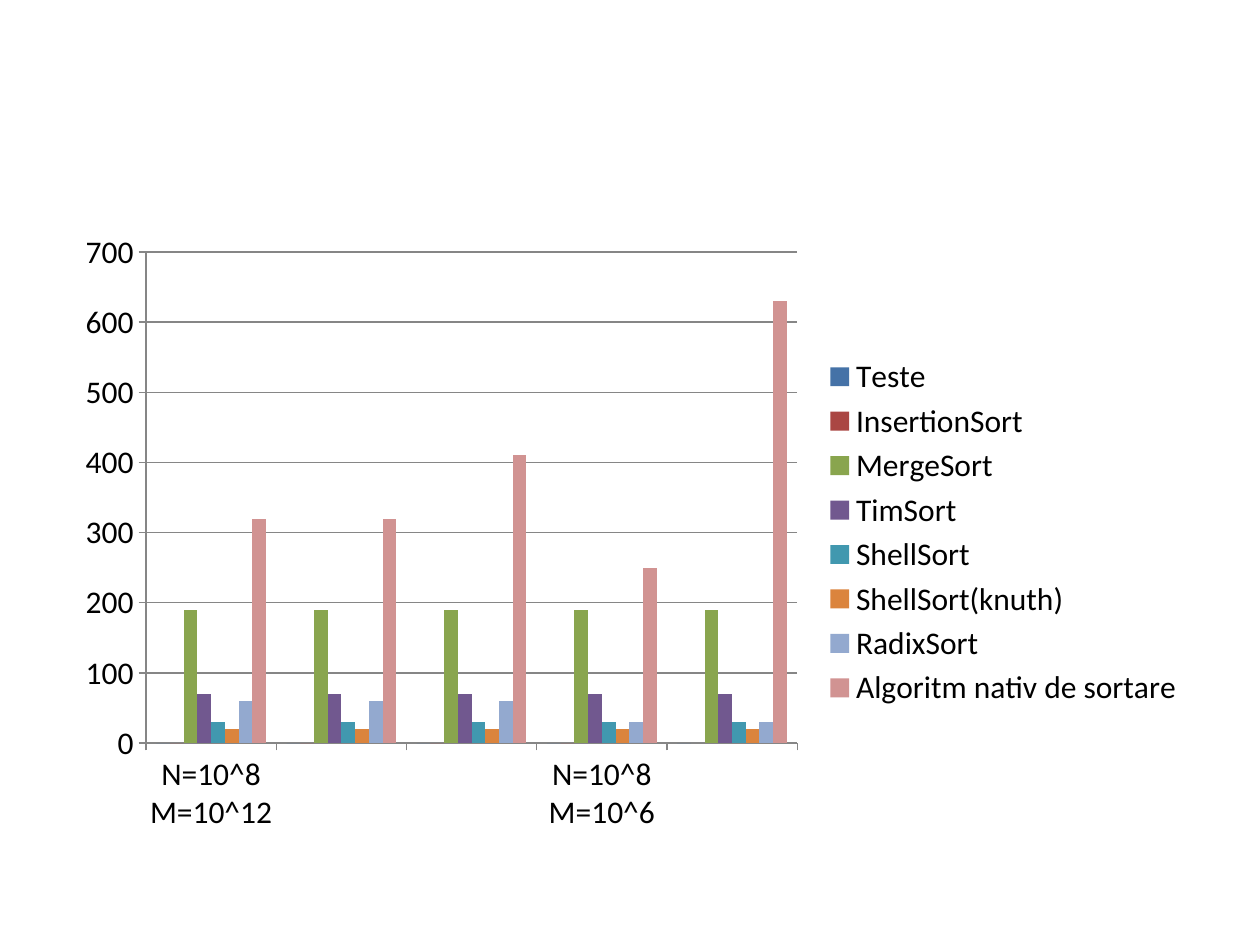
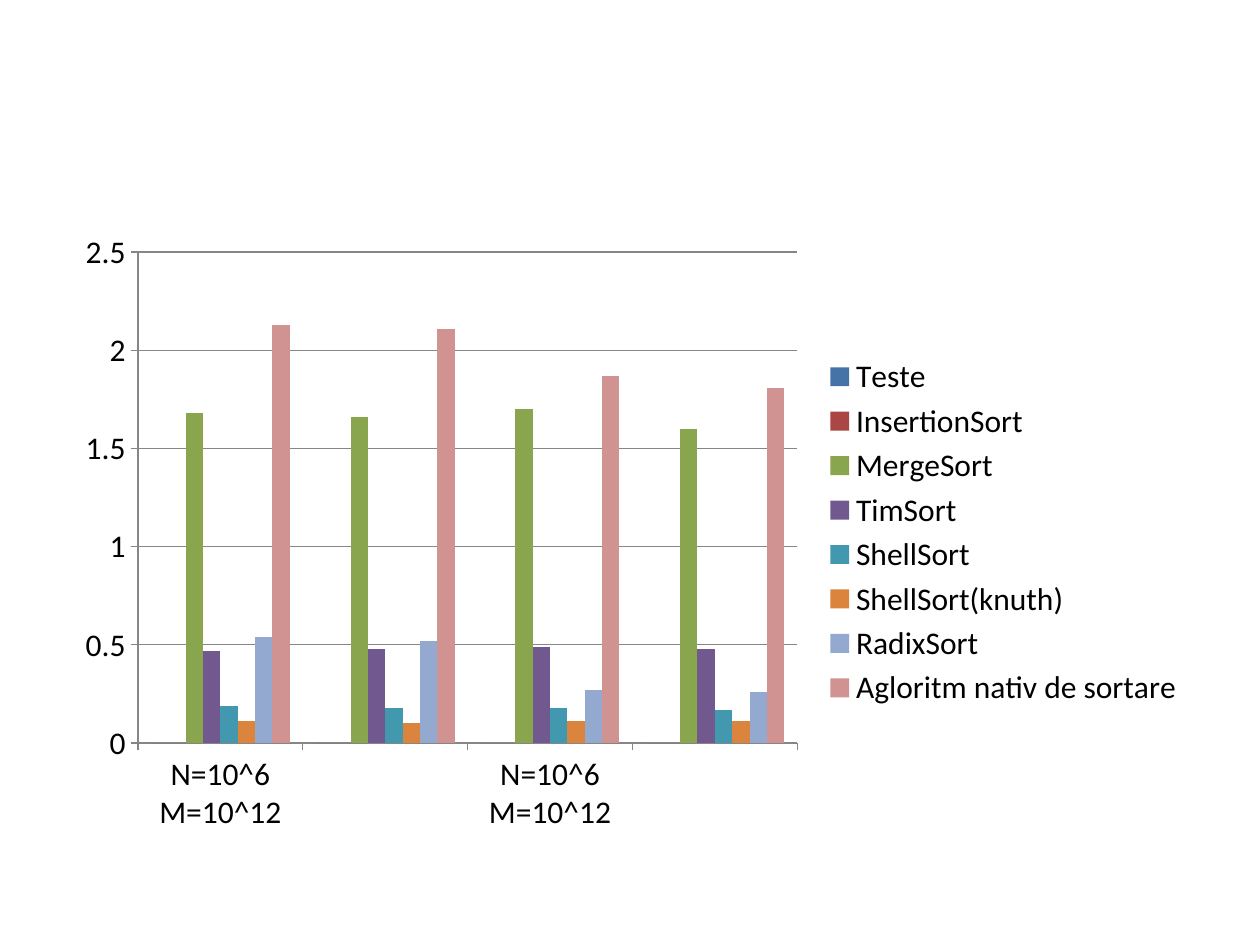
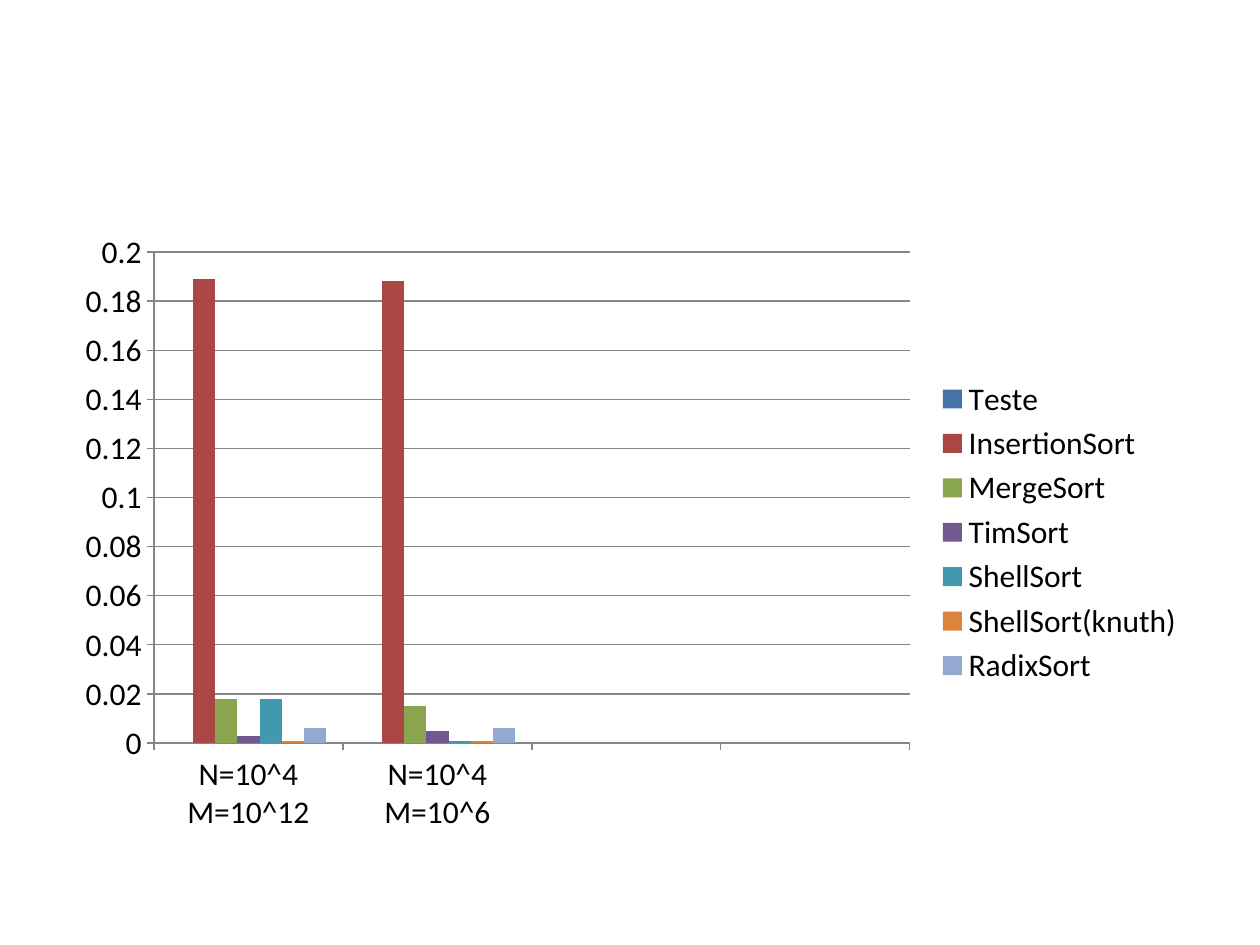
from dataclasses import dataclass

from pptx import Presentation
from pptx.chart.data import CategoryChartData as Data
from pptx.dml.color import RGBColor as RGB
from pptx.enum.chart import XL_CHART_TYPE as Kind
from pptx.enum.chart import XL_LEGEND_POSITION as Side
from pptx.enum.chart import XL_TICK_MARK as Tick
from pptx.util import Inches, Pt

# Shared look
FONT, SIZE = "Calibri", 18
INK = {"text": "000000", "line": "868686"}
FILL = {
    "Teste": "4572A7",
    "InsertionSort": "AA4643",
    "MergeSort": "89A54E",
    "TimSort": "71588F",
    "ShellSort": "4198AF",
    "ShellSort(knuth)": "DB843D",
    "RadixSort": "93A9CF",
    "native": "D19392",
}
BOX = (Inches(0.5), Inches(1.75), Inches(9), Inches(4.95))


@dataclass
class Panel:
    """One slide: bar groups, axis scale and values by series."""
    cats: list[str]
    top: float
    step: float
    rows: dict[str, list]


# Chart values
PANELS = [
    Panel(["N=10^8 M=10^12", "", "", "N=10^8 M=10^6", ""], 700, 100, {
        "Teste": [0] * 5,
        "InsertionSort": [0] * 4 + [None],
        "MergeSort": [190] * 5,
        "TimSort": [70] * 5,
        "ShellSort": [30] * 5,
        "ShellSort(knuth)": [20] * 5,
        "RadixSort": [60, 60, 60, 30, 30],
        "Algoritm nativ de sortare": [320, 320, 410, 250, 630],
    }),
    Panel(["N=10^6 M=10^12", "", "N=10^6 M=10^12", ""], 2.5, 0.5, {
        "Teste": [0] * 4,
        "InsertionSort": [0] * 4,
        "MergeSort": [1.68, 1.66, 1.7, 1.6],
        "TimSort": [0.47, 0.48, 0.49, 0.48],
        "ShellSort": [0.19, 0.18, 0.18, 0.17],
        "ShellSort(knuth)": [0.11, 0.1, 0.11, 0.11],
        "RadixSort": [0.54, 0.52, 0.27, 0.26],
        "Agloritm nativ de sortare": [2.13, 2.11, 1.87, 1.81],
    }),
    Panel(["N=10^4 M=10^12", "N=10^4 M=10^6", "", ""], 0.2, 0.02, {
        "Teste": [None] * 4,
        "InsertionSort": [0.189, 0.188, None, None],
        "MergeSort": [0.018, 0.015, None, None],
        "TimSort": [0.003, 0.005, None, None],
        "ShellSort": [0.018, 0.001, None, None],
        "ShellSort(knuth)": [0.001, 0.001, None, None],
        "RadixSort": [0.006, 0.006, None, None],
    }),
]


def rule(line) -> None:
    """Draw an axis or grid line in the shared thin grey."""
    line.color.rgb = RGB.from_string(INK["line"])
    line.width = Pt(0.75)


def draw(slide, panel: Panel) -> None:
    """Add the clustered column chart of one panel."""
    data = Data()
    data.categories = panel.cats
    for name, vals in panel.rows.items():
        data.add_series(name, vals)
    chart = slide.shapes.add_chart(Kind.COLUMN_CLUSTERED, *BOX, data).chart

    # Text and legend
    chart.has_title = False
    chart.font.name, chart.font.size = FONT, Pt(SIZE)
    chart.font.color.rgb = RGB.from_string(INK["text"])
    chart.has_legend = True
    chart.legend.position = Side.RIGHT
    chart.legend.include_in_layout = False

    # Axes
    for axis in (chart.category_axis, chart.value_axis):
        axis.major_tick_mark, axis.minor_tick_mark = Tick.OUTSIDE, Tick.NONE
        rule(axis.format.line)
    scale = chart.value_axis
    scale.minimum_scale, scale.maximum_scale = 0, panel.top
    scale.major_unit = panel.step
    scale.has_major_gridlines = True
    rule(scale.major_gridlines.format.line)

    # Bars
    plot = chart.plots[0]
    plot.gap_width, plot.vary_by_categories = 150, False
    for bar in plot.series:
        bar.invert_if_negative = False
        bar.format.fill.solid()
        tint = FILL.get(bar.name, FILL["native"])
        bar.format.fill.fore_color.rgb = RGB.from_string(tint)


deck = Presentation()
deck.slide_width, deck.slide_height = Inches(10), Inches(7.5)
blank = deck.slide_layouts[6]
for panel in PANELS:
    draw(deck.slides.add_slide(blank), panel)
deck.save("out.pptx")
